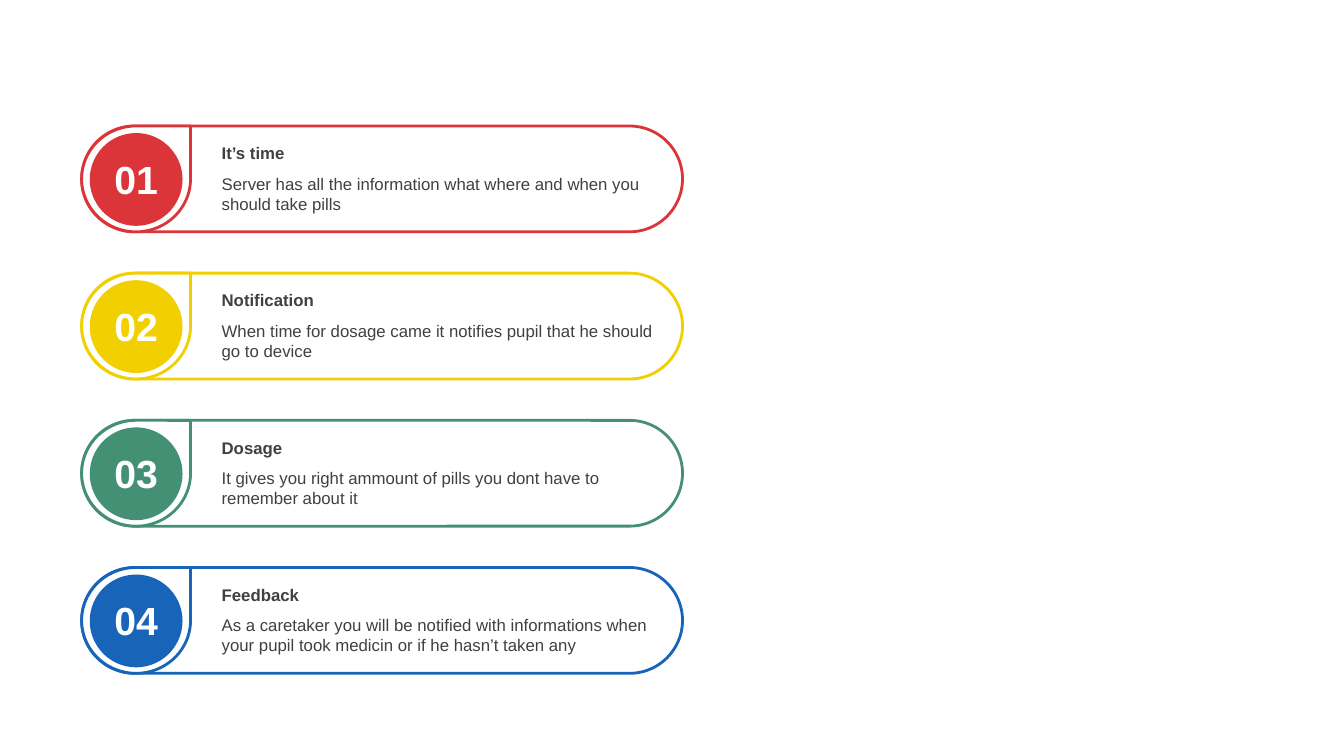
from pptx import Presentation
from pptx.dml.color import RGBColor
from pptx.enum.shapes import MSO_SHAPE as Kind
from pptx.enum.text import MSO_AUTO_SIZE as Fit, PP_ALIGN as Align
from pptx.util import Inches, Pt

STEPS = [
    ("It’s time", "DC3539",
     "Server has all the information what where and when you should take pills"),
    ("Notification", "F1CF01",
     "When time for dosage came it notifies pupil that he should go to device"),
    ("Dosage", "449074",
     "It gives you right ammount of pills you dont have to remember about it"),
    ("Feedback", "1764B9",
     "As a caretaker you will be notified with informations when your pupil "
     "took medicin or if he hasn’t taken any"),
]
WHITE, GREY = "FFFFFF", "404040"
LEFT, TOP, PITCH = 0.81, 1.25, 1.46
TEXT_X, TEXT_W = 2.1, 4.68


def color(code):
    return RGBColor.from_string(code)


def add_shape(group, kind, box, fill, line=None):
    shape = group.shapes.add_shape(kind, *map(Inches, box))
    shape.shadow.inherit = False
    shape.fill.solid()
    shape.fill.fore_color.rgb = color(fill)
    if line:
        shape.line.color.rgb = color(line)
        shape.line.width = Pt(2)
    else:
        shape.line.fill.background()
    return shape


def add_text(group, box, text, size, code, bold=False, align=Align.LEFT):
    frame = group.shapes.add_textbox(*map(Inches, box)).text_frame
    frame.word_wrap = True
    frame.auto_size = Fit.SHAPE_TO_FIT_TEXT
    para = frame.paragraphs[0]
    para.alignment = align
    run = para.add_run()
    run.text = text
    font = run.font
    font.name, font.size, font.bold = "Arial", Pt(size), bold
    font.color.rgb = color(code)


def add_step(slide, index, title, tint, detail):
    top = TOP + index * PITCH
    group = slide.shapes.add_group_shape()
    pill = add_shape(group, Kind.ROUNDED_RECTANGLE, (LEFT, top, 5.96, 1.05), WHITE, tint)
    pill.adjustments[0] = 0.5
    add_shape(group, Kind.TEAR, (LEFT, top, 1.08, 1.05), WHITE, tint)
    add_shape(group, Kind.OVAL, (LEFT + 0.08, top + 0.07, 0.92, 0.92), tint)
    add_text(group, (LEFT + 0.15, top + 0.24, 0.78, 0.57),
             f"{index + 1:02}", 28, WHITE, True, Align.CENTER)
    add_text(group, (TEXT_X, top + 0.12, TEXT_W, 0.3), title, 12, GREY, True)
    add_text(group, (TEXT_X, top + 0.42, TEXT_W, 0.5), detail, 12, GREY)


def main():
    deck = Presentation()
    deck.slide_width, deck.slide_height = Inches(13.33), Inches(7.5)
    slide = deck.slides.add_slide(deck.slide_layouts[6])
    for index, step in enumerate(STEPS):
        add_step(slide, index, *step)
    deck.save("out.pptx")


if __name__ == "__main__":
    main()
